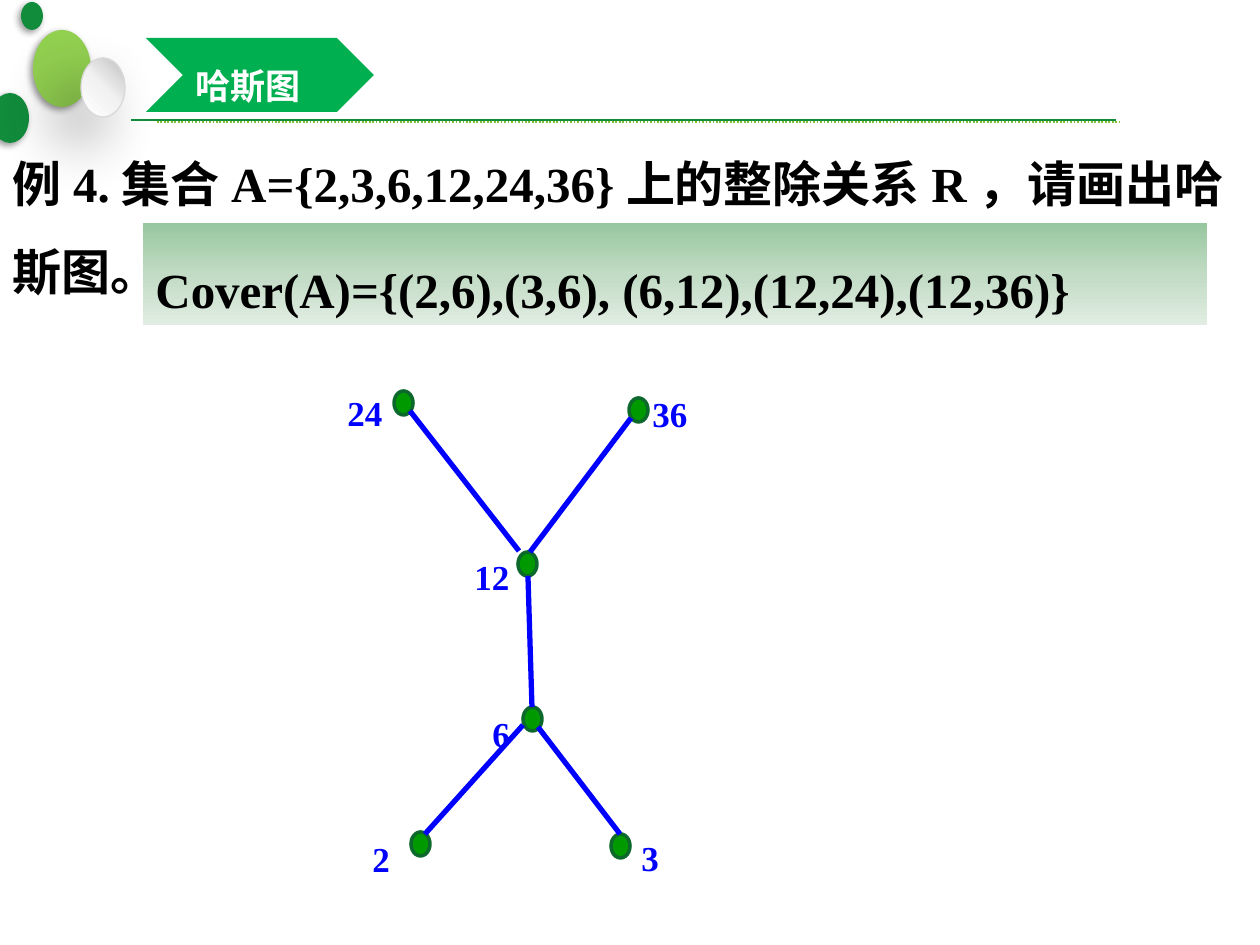
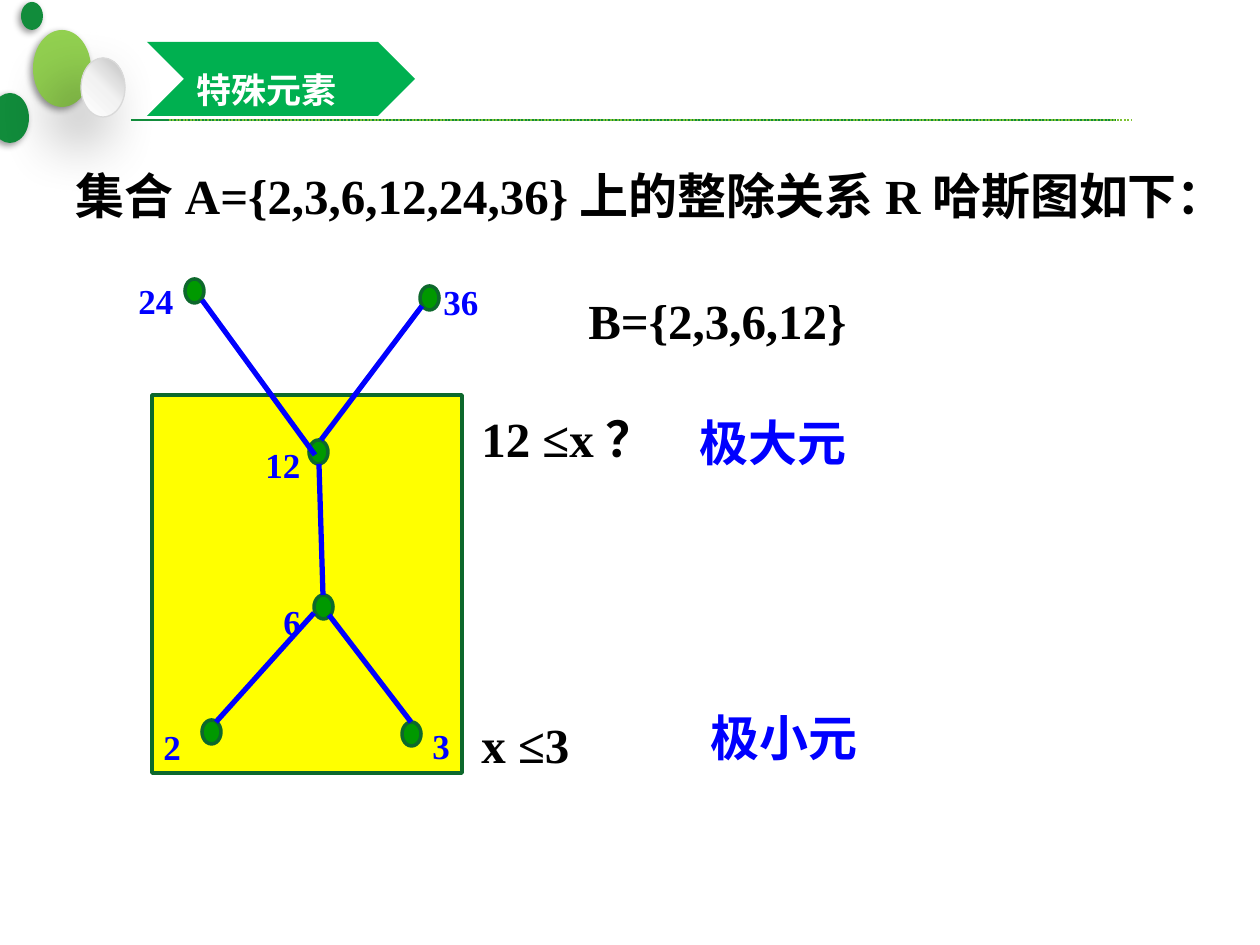
from lxml import etree
from pptx import Presentation
from pptx.dml.color import RGBColor
from pptx.enum.dml import MSO_LINE
from pptx.enum.shapes import MSO_CONNECTOR, MSO_SHAPE
from pptx.enum.text import MSO_ANCHOR, MSO_AUTO_SIZE, PP_ALIGN
from pptx.oxml.ns import nsdecls, qn
from pptx.util import Emu, Pt

PX = 914400 / 126
CJK, LATIN = "Noto Sans CJK SC", "Times New Roman"
C = {
    "black": "000000", "white": "FFFFFF", "blue": "0000FF", "yellow": "FFFF00",
    "lime": "92D050", "green": "118C3B", "banner": "00B050", "dots": "7EC234",
    "node": "009900", "rim": "0D682C", "pearl_rim": "D9D9D9",
}
PEARL = (315, ["FFFFFF", "F2F2F2", "BFBFBF"])
MINT = (90, ["97C79E", "C1DBC4", "E1EDE2"])


def add_text(s, text, box, shape=None, size=28, color="black", font=LATIN, wrap=True):
    """Write one bold paragraph in a shape, or in a new text box."""
    sp = shape or s.shapes.add_textbox(*[Emu(round(v * PX)) for v in box])
    tf = sp.text_frame
    tf.word_wrap = wrap
    if shape is None:
        tf.auto_size = MSO_AUTO_SIZE.SHAPE_TO_FIT_TEXT
    else:
        tf.vertical_anchor = MSO_ANCHOR.MIDDLE
    p = tf.paragraphs[0]
    p.alignment = PP_ALIGN.LEFT
    p.line_spacing = 1.5
    r = p.add_run()
    r.text = text
    r.font.size, r.font.bold, r.font.name = Pt(size), True, font
    r.font.color.rgb = RGBColor.from_string(C[color])
    etree.SubElement(r._r.get_or_add_rPr(), qn("a:ea"), typeface=CJK)


def add_shape(s, kind, box, fill, line=None, width=2, shadow=None):
    """fill: colour name or (angle, stops); shadow: (blur, distance) in points."""
    sp = s.shapes.add_shape(kind, *[Emu(round(v * PX)) for v in box])
    sp.shadow.inherit = False
    if isinstance(fill, str):
        sp.fill.solid()
        sp.fill.fore_color.rgb = RGBColor.from_string(C[fill])
    else:
        angle, stops = fill
        sp.fill.gradient()
        grad = sp._element.spPr.find(qn("a:gradFill"))
        for child in list(grad):
            grad.remove(child)
        gs_list = etree.SubElement(grad, qn("a:gsLst"))
        for i, stop in enumerate(stops):
            gs = etree.SubElement(gs_list, qn("a:gs"), pos=str(i * 50000))
            etree.SubElement(gs, qn("a:srgbClr"), val=stop)
        etree.SubElement(grad, qn("a:lin"), ang=str(angle * 60000), scaled="0")
    if line:
        sp.line.color.rgb = RGBColor.from_string(C[line])
        sp.line.width = Pt(width)
    else:
        sp.line.fill.background()
    if shadow:
        blur, dist = [Pt(v) for v in shadow]
        sp._element.spPr.find(qn("a:effectLst")).append(etree.fromstring(
            f'<a:outerShdw {nsdecls("a")} blurRad="{blur}" dist="{dist}" dir="8100000" '
            'algn="tr" rotWithShape="0"><a:srgbClr val="000000">'
            '<a:alpha val="40000"/></a:srgbClr></a:outerShdw>'))
    return sp


# Hasse diagram: label -> node corner, label box
NODES = {
    "2": ((411, 832), (360, 810, 43, 77)),
    "3": ((611, 834), (629, 809, 43, 77)),
    "6": ((523, 707), (480, 685, 43, 77)),
    "24": ((394, 391), (335, 364, 60, 77)),
    "12": ((518, 552), (462, 528, 60, 77)),
    "36": ((629, 398), (640, 365, 60, 77)),
}
EDGES = [
    (425, 834, 523, 725), (620, 834, 538, 727),
    (532, 707, 528, 576), (530, 552, 631, 418),
]

# Corner bubbles: box, fill, rim, shadow
BUBBLES = [
    ((33, 30, 58, 77), "lime", None, (4, 2)),
    ((-9, 93, 38, 50), "green", None, (4, 2)),
    ((81, 58, 44, 59), PEARL, "pearl_rim", (35, 20)),
    ((21, 2, 22, 28), "green", None, (4, 2)),
]

SLIDES = [
    dict(title="哈斯图", banner=(146, 38, 228, 74), dots=(157, 122, 1120, 122),
         panels=[], shift=(0, 0), edge_12_24=(519, 551, 410, 411),
         texts=[("例4.集合A={2,3,6,12,24,36}上的整除关系R，请画出哈斯图。",
                 (0, 118, 1281, 102), {})],
         cover="Cover(A)={(2,6),(3,6), (6,12),(12,24),(12,36)}"),
    dict(title="特殊元素", banner=(147, 42, 268, 74), dots=(169, 120, 1131, 120),
         panels=[(152, 395, 310, 378)], shift=(-209, -112),
         edge_12_24=(524, 567, 411, 412),
         texts=[("集合A={2,3,6,12,24,36}上的整除关系R哈斯图如下：", (63, 130, 1196, 102), {}),
                ("B={2,3,6,12}", (576, 255, 381, 102), {}),
                ("12 ≤x？", (469, 373, 210, 102), {}),
                ("x ≤3", (469, 679, 170, 102), {}),
                ("极大元", (687, 377, 174, 102), dict(color="blue", font=CJK, wrap=False)),
                ("极小元", (698, 672, 174, 102), dict(color="blue", font=CJK, wrap=False))],
         cover=None),
]

prs = Presentation()
prs.slide_width, prs.slide_height = Emu(round(1260 * PX)), Emu(round(945 * PX))

for d in SLIDES:
    s = prs.slides.add_slide(prs.slide_layouts[6])

    # Corner bubbles and title banner
    for box, fill, rim, shadow in BUBBLES:
        add_shape(s, MSO_SHAPE.OVAL, box, fill, rim, 0.75, shadow)
    for box in d["panels"]:
        add_shape(s, MSO_SHAPE.FLOWCHART_PROCESS, box, "yellow", "rim")
    banner = add_shape(s, MSO_SHAPE.CHEVRON, d["banner"], "banner")
    add_text(s, d["title"], None, shape=banner, size=20, color="white", font=CJK)

    # Statements
    for text, box, style in d["texts"]:
        add_text(s, text, box, **style)
    if d["cover"]:
        cover = add_shape(s, MSO_SHAPE.RECTANGLE, (143, 223, 1064, 102), MINT)
        add_text(s, d["cover"], None, shape=cover)

    # Diagram nodes and labels
    dx, dy = d["shift"]
    for label, ((x, y), (lx, ly, w, h)) in NODES.items():
        add_shape(s, MSO_SHAPE.FLOWCHART_CONNECTOR, (x + dx, y + dy, 19, 24), "node", "rim")
        add_text(s, label, (lx + dx, ly + dy, w, h), size=20, color="blue", wrap=False)

    # Header rules and diagram edges
    lines = [((131, 120, 1116, 120), "green", 1.25, None),
             (d["dots"], "dots", 1, MSO_LINE.ROUND_DOT)]
    for x1, y1, x2, y2 in EDGES + [d["edge_12_24"]]:
        lines.append(((x1 + dx, y1 + dy, x2 + dx, y2 + dy), "blue", 3, None))
    for ends, color, width, dash in lines:
        ln = s.shapes.add_connector(MSO_CONNECTOR.STRAIGHT, *[Emu(round(v * PX)) for v in ends])
        ln.line.color.rgb = RGBColor.from_string(C[color])
        ln.line.width = Pt(width)
        if dash:
            ln.line.dash_style = dash
        etree.SubElement(ln._element.spPr, qn("a:effectLst"))

prs.save("out.pptx")
